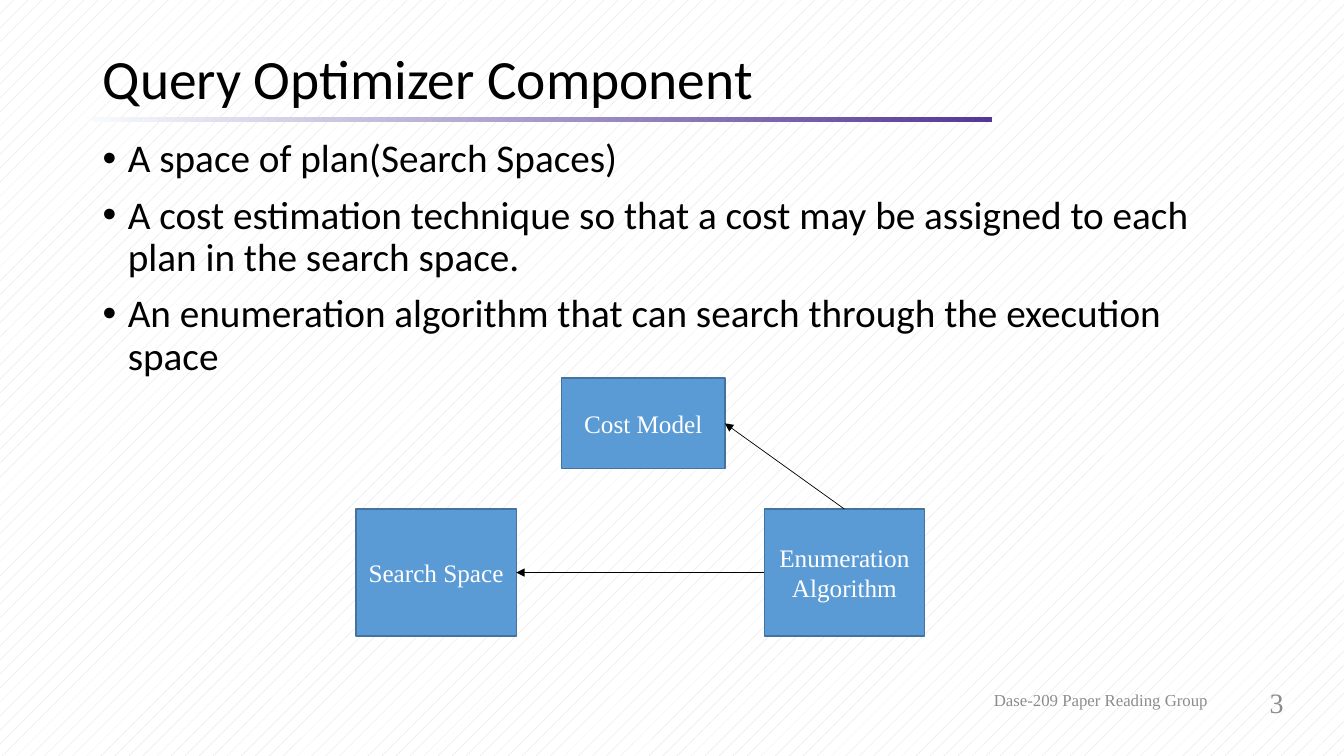
from lxml.etree import SubElement
from pptx import Presentation
from pptx.dml.color import RGBColor
from pptx.enum.dml import MSO_PATTERN
from pptx.enum.shapes import MSO_CONNECTOR as CONNECTOR, MSO_SHAPE as SHAPE
from pptx.enum.text import MSO_ANCHOR as ANCHOR, MSO_AUTO_SIZE as AUTO_SIZE, PP_ALIGN as ALIGN
from pptx.oxml.ns import qn
from pptx.util import Pt

EMU_PER_PX = 9144
SANS, SERIF = "Calibri", "Times New Roman"
BLACK, WHITE, GREY = "000000", "FFFFFF", "8C8C8C"
TOP, LEFT, RIGHT = 0, 1, 3

BULLETS = [
    "A space of plan(Search Spaces)",
    "A cost estimation technique so that a cost may be assigned to each plan in the search space.",
    "An enumeration algorithm that can search through the execution space",
]


def px(length):
    """Turn px (100 to the inch) into EMU."""
    return length * EMU_PER_PX


def color(hex_string):
    """Turn a hex string into a colour."""
    return RGBColor.from_string(hex_string)


def scaled(box):
    """Turn a left, top, width, height box in px into EMU."""
    return [px(length) for length in box]


def add_run(paragraph, text, size, font_name, hex_string):
    """Add one formatted run to a paragraph."""
    run = paragraph.add_run()
    run.text = text
    run.font.size = Pt(size)
    run.font.name = font_name
    run.font.color.rgb = color(hex_string)


def add_textbox(slide, box, anchor):
    """Add an empty wrapping text box and return its text frame."""
    frame = slide.shapes.add_textbox(*scaled(box)).text_frame
    frame.word_wrap = True
    frame.vertical_anchor = anchor
    return frame


def set_background(slide):
    """Fill the background with a pale pattern."""
    fill = slide.background.fill
    fill.patterned()
    fill.pattern = MSO_PATTERN.PERCENT_5
    fill.fore_color.rgb = color("D9D9D9")
    fill.back_color.rgb = color(WHITE)


def add_title(slide, box, text):
    """Format the title placeholder and draw the fading bar under it."""
    left, top, width, height = box
    bar = slide.shapes.add_shape(SHAPE.RECTANGLE, *scaled((left, top + height - 2, 892, 5)))
    bar.shadow.inherit = False
    bar.line.fill.background()
    bar.fill.gradient()
    bar.fill.gradient_angle = 0
    for stop, hex_string in zip(bar.fill.gradient_stops, ("F7FAFD", "543795")):
        stop.color.rgb = color(hex_string)

    title = slide.shapes.title
    title.left, title.top, title.width, title.height = scaled(box)
    frame = title.text_frame
    frame.auto_size = AUTO_SIZE.NONE
    frame.word_wrap = True
    frame.vertical_anchor = ANCHOR.MIDDLE
    paragraph = frame.paragraphs[0]
    paragraph.alignment = ALIGN.LEFT
    paragraph.line_spacing = 0.9
    add_run(paragraph, text, 39.6, SANS, BLACK)


def add_bullets(slide, box, texts):
    """Add a bulleted list with hanging indents."""
    frame = add_textbox(slide, box, ANCHOR.TOP)
    for index, text in enumerate(texts):
        paragraph = frame.add_paragraph() if index else frame.paragraphs[0]
        paragraph.line_spacing = 0.9
        paragraph.space_before = Pt(10)
        properties = paragraph._p.get_or_add_pPr()
        properties.set("marL", str(px(25)))
        properties.set("indent", str(-px(25)))
        SubElement(properties, qn("a:buFont"), typeface="Arial")
        SubElement(properties, qn("a:buChar"), char="•")
        add_run(paragraph, text, 28, SANS, BLACK)


def add_component(slide, box, text):
    """Add one labelled blue rectangle."""
    shape = slide.shapes.add_shape(SHAPE.RECTANGLE, *scaled(box))
    shape.shadow.inherit = False
    shape.fill.solid()
    shape.fill.fore_color.rgb = color("5B9BD5")
    shape.line.color.rgb = color("43739E")
    shape.line.width = Pt(1)
    frame = shape.text_frame
    frame.word_wrap = True
    frame.vertical_anchor = ANCHOR.MIDDLE
    paragraph = frame.paragraphs[0]
    paragraph.alignment = ALIGN.CENTER
    add_run(paragraph, text, 18, SERIF, WHITE)
    return shape


def add_arrow(slide, source, source_side, target, target_side):
    """Join two rectangles with an arrow that points at the target."""
    arrow = slide.shapes.add_connector(CONNECTOR.STRAIGHT, 0, 0, 0, 0)
    arrow.begin_connect(source, source_side)
    arrow.end_connect(target, target_side)
    arrow.line.color.rgb = color(BLACK)
    arrow.line.width = Pt(0.5)
    SubElement(arrow.line._get_or_add_ln(), qn("a:tailEnd"), type="triangle")
    SubElement(arrow._element.spPr, qn("a:effectLst"))


def add_diagram(slide, box):
    """Place the three components in the box and join them."""
    left, top, width, height = box
    side_width, side_height = 159, 126
    side_top = top + height - side_height
    search = add_component(slide, (left, side_top, side_width, side_height), "Search Space")
    cost = add_component(slide, (left + 204, top, 162, 90), "Cost Model")
    enumeration = add_component(
        slide, (left + width - side_width, side_top, side_width, side_height), "Enumeration Algorithm")
    add_arrow(slide, enumeration, LEFT, search, RIGHT)
    add_arrow(slide, enumeration, TOP, cost, RIGHT)


def add_footer(slide, box, group, number):
    """Add the group name and the slide number, both set to the right."""
    left, top, width, height = box
    parts = [
        (group, 12, (left, top, 450, 26)),
        (number, 20, (left + width - 300, top, 300, height)),
    ]
    for text, size, part_box in parts:
        paragraph = add_textbox(slide, part_box, ANCHOR.MIDDLE).paragraphs[0]
        paragraph.alignment = ALIGN.RIGHT
        add_run(paragraph, text, size, SERIF, GREY)


def main():
    """Build the slide and save it."""
    presentation = Presentation()
    presentation.slide_width, presentation.slide_height = px(1333), px(750)
    slide = presentation.slides.add_slide(presentation.slide_layouts[5])
    set_background(slide)
    add_title(slide, (92, 43, 1150, 75), "Query Optimizer Component")
    add_bullets(slide, (92, 133, 1150, 543), BULLETS)
    add_diagram(slide, (353, 375, 564, 256))
    add_footer(slide, (758, 681, 525, 32), "Dase-209 Paper Reading Group", "3")
    presentation.save("out.pptx")


if __name__ == "__main__":
    main()
